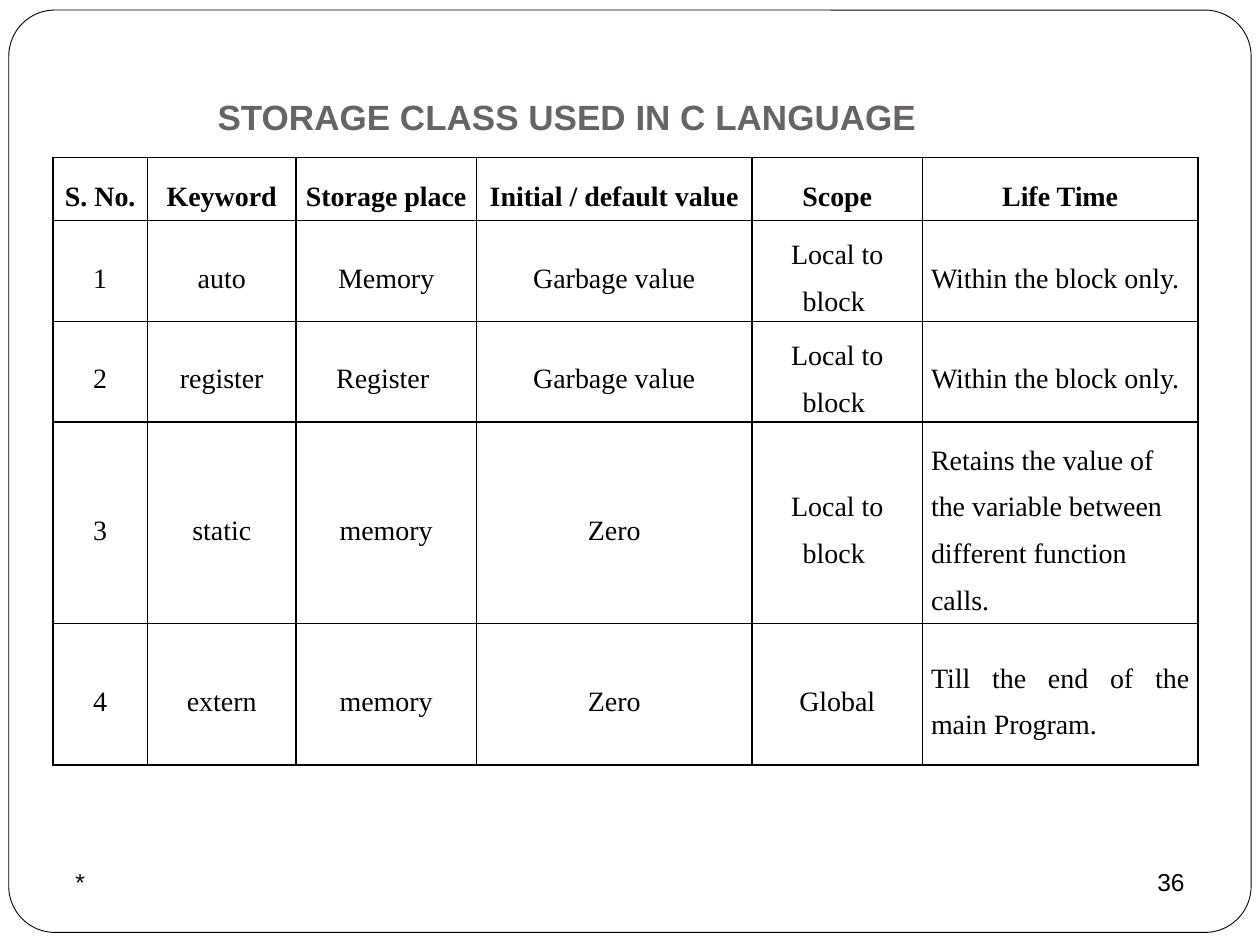
import pptx
import pptx.dml.color
import pptx.enum.shapes
import pptx.enum.text
import pptx.oxml.ns
import pptx.util
from lxml import etree

Inches = pptx.util.Inches
Pt = pptx.util.Pt
ALIGN = pptx.enum.text.PP_ALIGN
ANCHOR = pptx.enum.text.MSO_ANCHOR

COLOURS = {"paper": "FFFFFF", "ink": "000000", "title": "696464"}

COLUMN_WIDTHS = [0.75, 1.18, 1.43, 2.19, 1.35, 2.19]
ROW_HEIGHTS = [0.5, 0.8, 0.8, 1.6, 1.12]
STORAGE_CLASSES = [
    ["S. No.", "Keyword", "Storage place", "Initial / default value", "Scope", "Life Time"],
    ["1", "auto", "Memory", "Garbage value", "Local to block ", "Within the block only."],
    ["2", "register", "Register ", "Garbage value", "Local to block ", "Within the block only."],
    ["3", "static", "memory", "Zero", "Local to block ",
     "Retains the value of the variable between different function calls."],
    ["4", "extern", "memory", "Zero", "Global", "Till the end of the main Program. "],
]
LIFE_TIME_ALIGNS = [ALIGN.CENTER, ALIGN.JUSTIFY, ALIGN.JUSTIFY, ALIGN.LEFT, ALIGN.JUSTIFY]


def colour(name):
    return pptx.dml.color.RGBColor.from_string(COLOURS[name])


def write_text(frame, text, *, size, font="Arial", ink="ink", bold=False,
               align=ALIGN.LEFT, spacing=None):
    frame.word_wrap = True
    para = frame.paragraphs[0]
    para.alignment = align
    para.line_spacing = spacing
    span = para.add_run()
    span.text = text
    span.font.size = Pt(size)
    span.font.name = font
    span.font.bold = bold
    span.font.color.rgb = colour(ink)


def add_text(page, box, text, anchor=ANCHOR.TOP, **text_format):
    frame = page.shapes.add_textbox(*map(Inches, box)).text_frame
    frame.vertical_anchor = anchor
    write_text(frame, text, **text_format)


def add_page_frame(page, box):
    outline = page.shapes.add_shape(
        pptx.enum.shapes.MSO_SHAPE.ROUNDED_RECTANGLE, *map(Inches, box))
    outline.adjustments[0] = 0.05
    outline.shadow.inherit = False
    outline.fill.solid()
    outline.fill.fore_color.rgb = colour("paper")
    outline.line.color.rgb = colour("ink")
    outline.line.width = Pt(0.5)


def add_borders(cell):
    properties = cell._tc.get_or_add_tcPr()
    qn = pptx.oxml.ns.qn
    for side in ("a:lnL", "a:lnR", "a:lnT", "a:lnB"):
        line = etree.SubElement(properties, qn(side), w=str(Pt(1)))
        fill = etree.SubElement(line, qn("a:solidFill"))
        etree.SubElement(fill, qn("a:srgbClr"), val=COLOURS["ink"])


def add_storage_table(page, box):
    table = page.shapes.add_table(
        len(ROW_HEIGHTS), len(COLUMN_WIDTHS), *map(Inches, box)).table
    for column, width in zip(table.columns, COLUMN_WIDTHS):
        column.width = Inches(width)
    for row, height in zip(table.rows, ROW_HEIGHTS):
        row.height = Inches(height)
    last = len(COLUMN_WIDTHS) - 1
    for r, texts in enumerate(STORAGE_CLASSES):
        for c, text in enumerate(texts):
            cell = table.cell(r, c)
            add_borders(cell)
            cell.fill.background()
            cell.vertical_anchor = ANCHOR.MIDDLE
            cell.margin_left = cell.margin_right = Inches(0.07)
            cell.margin_top = cell.margin_bottom = 0
            write_text(cell.text_frame, text, size=16, font="Times New Roman",
                       bold=r == 0, spacing=1.5,
                       align=LIFE_TIME_ALIGNS[r] if c == last else ALIGN.CENTER)


def add_footer(page, box):
    """Put the date mark at the left end of the box and the page number at the right."""
    left, top, width, height = box
    part = 2.33
    add_text(page, (left, top, part, height), "*", size=14)
    add_text(page, (left + width - part, top, part, height), "36", size=14, align=ALIGN.RIGHT)


def main():
    deck = pptx.Presentation()
    deck.slide_width, deck.slide_height = Inches(10), Inches(7.5)
    page = deck.slides.add_slide(deck.slide_layouts[6])
    add_page_frame(page, (0.07, 0.08, 9.86, 7.32))
    add_text(page, (0, 0.3, 9, 1.25), "STORAGE CLASS USED IN C LANGUAGE",
             anchor=ANCHOR.MIDDLE, size=20, ink="title", bold=True, align=ALIGN.CENTER)
    add_storage_table(page, (0.42, 1.25, 9.08, 4.82))
    add_footer(page, (0.5, 6.83, 9, 0.52))
    deck.save("out.pptx")


if __name__ == "__main__":
    main()
